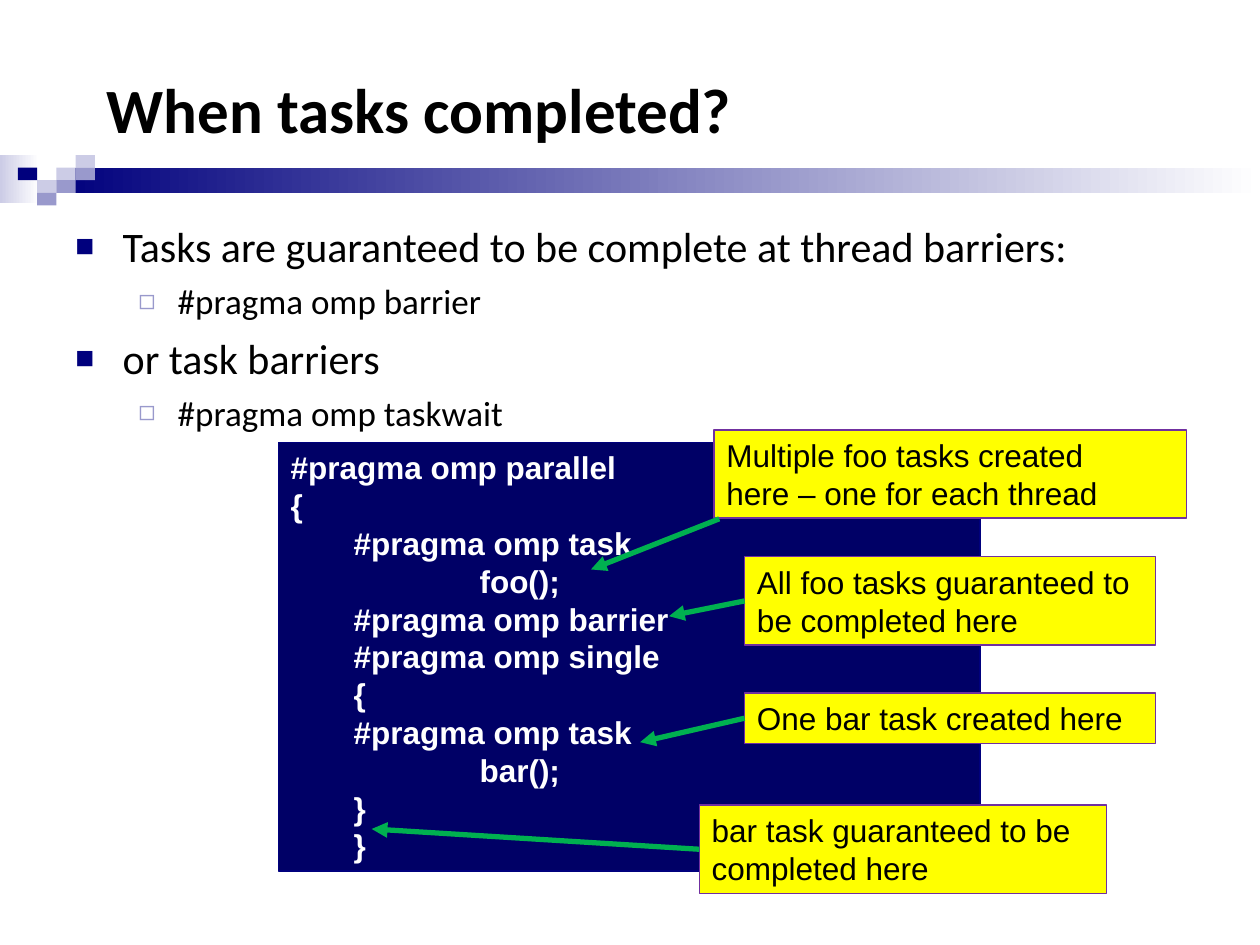
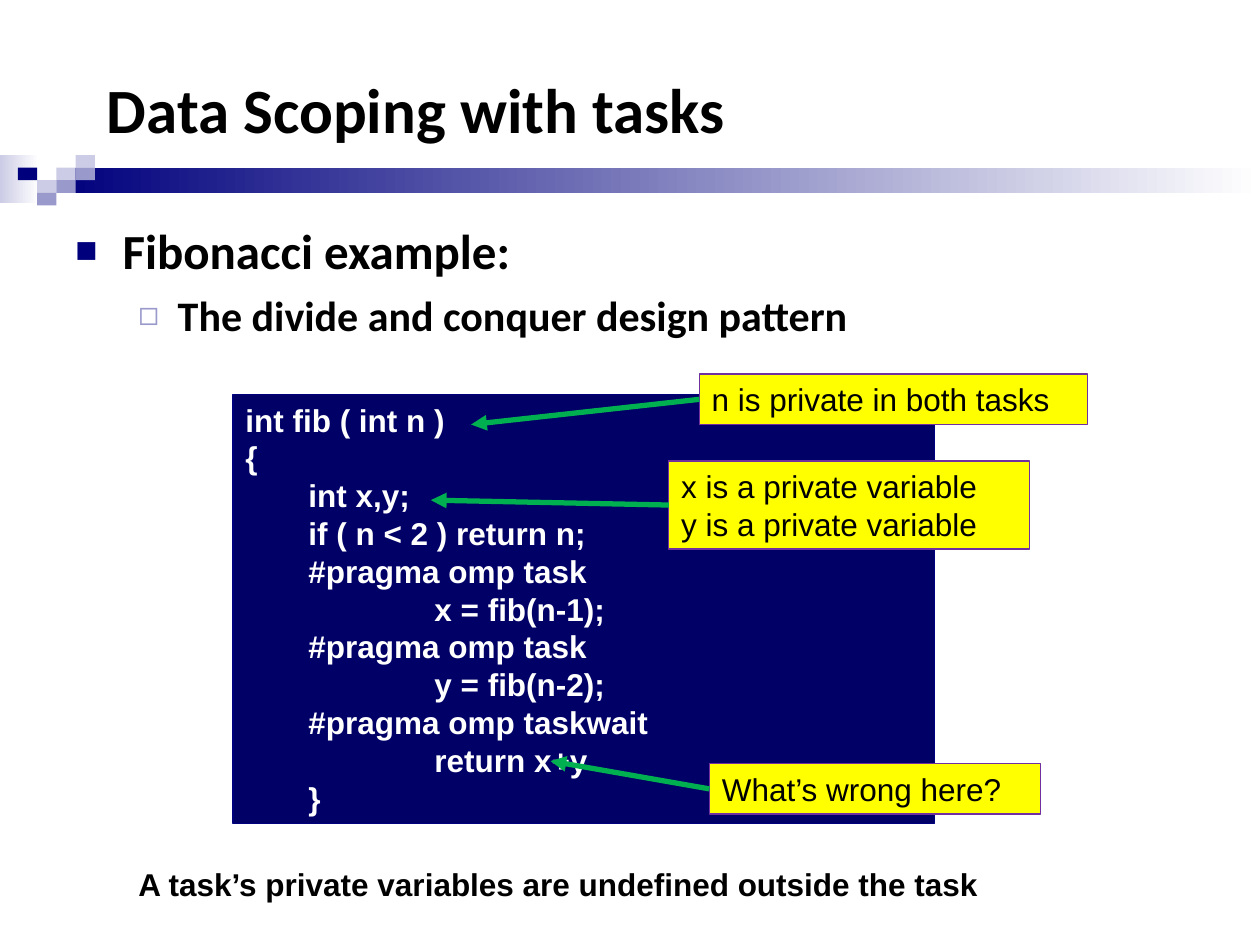
"""Builds two slides on the completion and data scoping of OpenMP tasks."""
from dataclasses import dataclass

from lxml import etree
from pptx import Presentation
from pptx.dml.color import RGBColor
from pptx.enum.shapes import MSO_CONNECTOR, MSO_SHAPE
from pptx.enum.text import MSO_ANCHOR, PP_ALIGN
from pptx.oxml.ns import qn
from pptx.util import Pt

RECT = MSO_SHAPE.RECTANGLE
STRAIGHT = MSO_CONNECTOR.STRAIGHT
LEFT = PP_ALIGN.LEFT
TOP, MIDDLE = MSO_ANCHOR.TOP, MSO_ANCHOR.MIDDLE
LEFT_SIDE = 1


@dataclass(frozen=True)
class Theme:
    """Colours, fonts and type sizes shared by the slides."""
    navy: str = "00007D"
    violet: str = "9999CC"
    lilac: str = "CCCCE6"
    white: str = "FFFFFF"
    black: str = "000000"
    code_fill: str = "000066"
    note_fill: str = "FFFF00"
    note_line: str = "7030A0"
    arrow: str = "00B050"
    heading_font: str = "Calibri"
    code_font: str = "Arial"
    title_size: int = 36
    code_size: int = 18
    code_pitch: float = 21.6
    inset: float = 3.6
    indent: int = 36


T = Theme()
TITLE = {"name": T.heading_font, "size": Pt(T.title_size), "bold": True}
CODE = {"name": T.code_font, "size": Pt(T.code_size), "bold": True}
NOTE = {**CODE, "bold": False}
BULLETS = (
    {"char": "■", "color": T.navy, "scale": 75, "left": 27, "hang": 27},
    {"char": "◻", "color": T.violet, "scale": 80, "left": 58.5, "hang": 22.5},
)

HEADER_BOX = (0, 30, 720, 87)
BODY_BOX = (36, 122.4, 648, 363)
TILES = ((2, 1, T.lilac), (3, 0, T.lilac), (3, 1, T.violet), (1, 2, T.lilac),
         (0, 1, T.navy), (2, 2, T.violet), (1, 3, T.violet))


def rgb(value):
    """Turn a hex string into a colour."""
    return RGBColor.from_string(value)


def set_font(font, style, color):
    """Apply a dict of font values and a colour."""
    for key, value in style.items():
        setattr(font, key, value)
    font.color.rgb = rgb(color)


def add_rect(s, box, fill, line=None):
    """Add a plain rectangle, with a gradient when fill is a pair of colours."""
    sp = s.shapes.add_shape(RECT, *map(Pt, box))
    sp.shadow.inherit = False
    if isinstance(fill, tuple):
        sp.fill.gradient()
        sp.fill.gradient_angle = 0
        for stop, color, position in zip(sp.fill.gradient_stops, fill, (0, 1)):
            stop.position = position
            stop.color.rgb = rgb(color)
    else:
        sp.fill.solid()
        sp.fill.fore_color.rgb = rgb(fill)
    if line:
        sp.line.color.rgb = rgb(line)
        sp.line.width = Pt(0.75)
    else:
        sp.line.fill.background()
    return sp


def write(sp, lines, style, color, anchor=TOP, pitch=None):
    """Write (level, text) lines into a shape, one paragraph each."""
    tf = sp.text_frame
    tf.word_wrap = True
    tf.vertical_anchor = anchor
    for i, (level, text) in enumerate(lines):
        p = tf.paragraphs[0] if i == 0 else tf.add_paragraph()
        p.alignment = LEFT
        p.line_spacing = Pt(pitch) if pitch else None
        p._p.get_or_add_pPr().set("marL", str(Pt(level * T.indent)))
        r = p.add_run()
        r.text = text
        set_font(r.font, style, color)


def add_bullet(p, char, color, scale, left, hang):
    """Give a paragraph a coloured bullet with a hanging indent."""
    pPr = p._p.get_or_add_pPr()
    pPr.set("marL", str(Pt(left)))
    pPr.set("indent", str(-Pt(hang)))
    clr = etree.SubElement(pPr, qn("a:buClr"))
    etree.SubElement(clr, qn("a:srgbClr")).set("val", color)
    etree.SubElement(pPr, qn("a:buSzPct")).set("val", str(scale * 1000))
    etree.SubElement(pPr, qn("a:buFont")).set("typeface", T.code_font)
    etree.SubElement(pPr, qn("a:buChar")).set("char", char)


def add_header(s, box, title):
    """Draw the title above the fading band and its mosaic of tiles."""
    x, y, w, h = box
    top = y + 58.6
    tile_w, tile_h = 11, 7.2
    add_rect(s, (x, top, 22.3, 27.4), (T.lilac, T.white))
    add_rect(s, (x + 32.4, top + tile_h, w - 32.4, 2 * tile_h), (T.navy, T.white))
    for col, row, color in TILES:
        add_rect(s, (x + 10.3 + col * tile_w, top + row * tile_h, tile_w, tile_h), color)
    tb = s.shapes.add_textbox(*map(Pt, (x + 54, y, w - 114, 64)))
    write(tb, [(0, title)], TITLE, T.black, MIDDLE)


def add_body(s, box, items, sizes, bold=False):
    """Fill the body box with two levels of bullets."""
    tf = s.shapes.add_textbox(*map(Pt, box)).text_frame
    tf.word_wrap = True
    for i, (level, text) in enumerate(items):
        p = tf.paragraphs[0] if i == 0 else tf.add_paragraph()
        size = sizes[level]
        if i:
            p.space_before = Pt(size // 4)
        add_bullet(p, **BULLETS[level])
        r = p.add_run()
        r.text = text
        style = {"name": T.heading_font, "size": Pt(size), "bold": bold}
        set_font(r.font, style, T.black)


def add_arrow(s, start, tip):
    """Draw a green arrow from start to tip."""
    cx = s.shapes.add_connector(STRAIGHT, *map(Pt, (*start, *tip)))
    cx.line.color.rgb = rgb(T.arrow)
    cx.line.width = Pt(3)
    etree.SubElement(cx.line._get_or_add_ln(), qn("a:tailEnd")).set("type", "triangle")
    etree.SubElement(cx._element.spPr, qn("a:effectLst"))
    return cx


def add_callout(s, box, lines, tip, start=None):
    """Place a yellow note at box (x, y, width) with an arrow to tip."""
    x, y, w = box
    h = 2 * T.inset + len(lines) * T.code_pitch
    sp = add_rect(s, (x, y, w, h), T.note_fill, T.note_line)
    write(sp, [(0, line) for line in lines], NOTE, T.black, pitch=T.code_pitch)
    cx = add_arrow(s, start or (x, y + h / 2), tip)
    if start is None:
        cx.begin_connect(sp, LEFT_SIDE)


def add_code(s, box, lines, callouts):
    """Draw the code panel and its callouts, offset from the panel's corner."""
    x, y, w, h = box
    sp = add_rect(s, box, T.code_fill, T.navy)
    write(sp, lines, CODE, T.white, pitch=T.code_pitch)
    for (dx, dy, width), notes, *ends in callouts:
        ends = [(x + ex, y + ey) for ex, ey in ends]
        add_callout(s, (x + dx, y + dy, width), notes, *ends)


def add_footnote(s, box, text):
    """Write the bold closing remark."""
    tb = s.shapes.add_textbox(*map(Pt, box))
    write(tb, [(0, text)], CODE, T.black, pitch=T.code_pitch)


def completion_slide(prs):
    """Show where tasks are guaranteed to be complete."""
    s = prs.slides.add_slide(prs.slide_layouts[6])
    add_header(s, HEADER_BOX, "When tasks completed?")
    add_body(s, BODY_BOX, [
        (0, "Tasks are guaranteed to be complete at thread barriers:"),
        (1, "#pragma omp barrier"),
        (0, "or task barriers"),
        (1, "#pragma omp taskwait"),
    ], (24, 20))
    add_code(s, (159, 252.7, 401, 245), [
        (0, "#pragma omp parallel"),
        (0, "{"),
        (1, "#pragma omp task"),
        (3, "foo();"),
        (1, "#pragma omp barrier"),
        (1, "#pragma omp single"),
        (1, "{"),
        (1, "#pragma omp task"),
        (3, "bar();"),
        (1, "}"),
        (1, "}"),
    ], [
        ((249, -7, 270), ("Multiple foo tasks created", "here – one for each thread"),
         (178.7, 72.7), (252, 43.8)),
        ((266.5, 65.5, 234.7), ("All foo tasks guaranteed to", "be completed here"),
         (223.3, 99.4)),
        ((266.5, 143.3, 234.7), ("One bar task created here",), (206.8, 171.4)),
        ((240.6, 207.4, 232.6), ("bar task guaranteed to be", "completed here"),
         (53.4, 221)),
    ])


def scoping_slide(prs):
    """Show data scoping with the Fibonacci example."""
    s = prs.slides.add_slide(prs.slide_layouts[6])
    add_header(s, HEADER_BOX, "Data Scoping with tasks")
    add_body(s, BODY_BOX, [
        (0, "Fibonacci example:"),
        (1, "The divide and conquer design pattern"),
    ], (28, 24), bold=True)
    add_code(s, (133.2, 225.4, 401, 245), [
        (0, "int fib ( int n )"),
        (0, "{"),
        (1, "int x,y;"),
        (1, "if ( n < 2 ) return n;"),
        (1, "#pragma omp task"),
        (3, "x = fib(n-1);"),
        (1, "#pragma omp task"),
        (3, "y = fib(n-2);"),
        (1, "#pragma omp taskwait"),
        (3, "return x+y"),
        (1, "}"),
    ], [
        ((266.4, -11.6, 221.8), ("n is private in both tasks",), (136, 17.2)),
        ((249, 38, 206), ("x is a private variable", "y is a private variable"),
         (113, 60.4)),
        ((272.2, 211, 189.4), ("What’s wrong here?",), (181.4, 209.5)),
    ])
    add_footnote(s, (72, 491, 571, 28.8),
                 "A task’s private variables are undefined outside the task")


def main():
    """Build and save the deck."""
    prs = Presentation()
    prs.slide_width, prs.slide_height = Pt(720), Pt(540)
    completion_slide(prs)
    scoping_slide(prs)
    prs.save("out.pptx")


if __name__ == "__main__":
    main()
